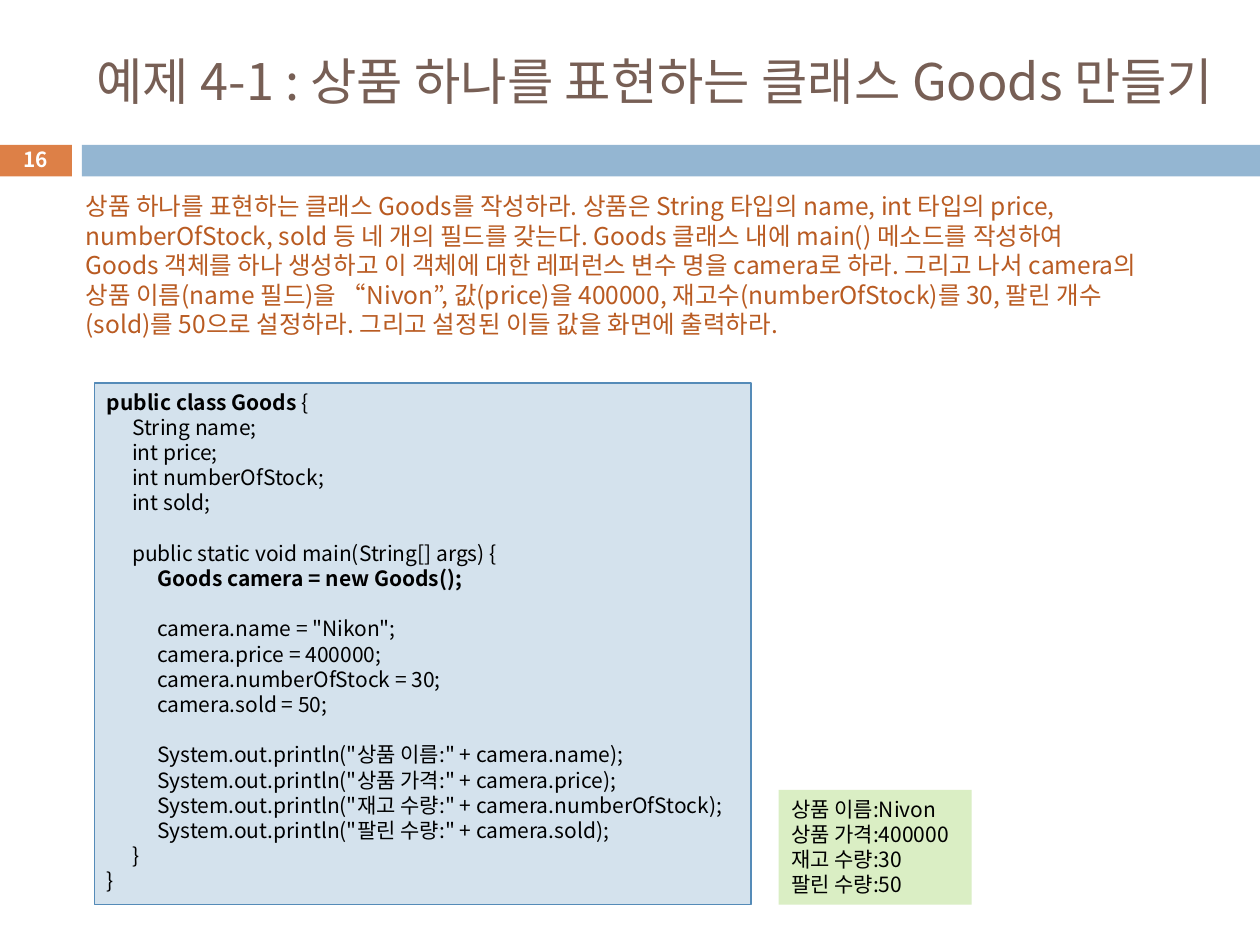
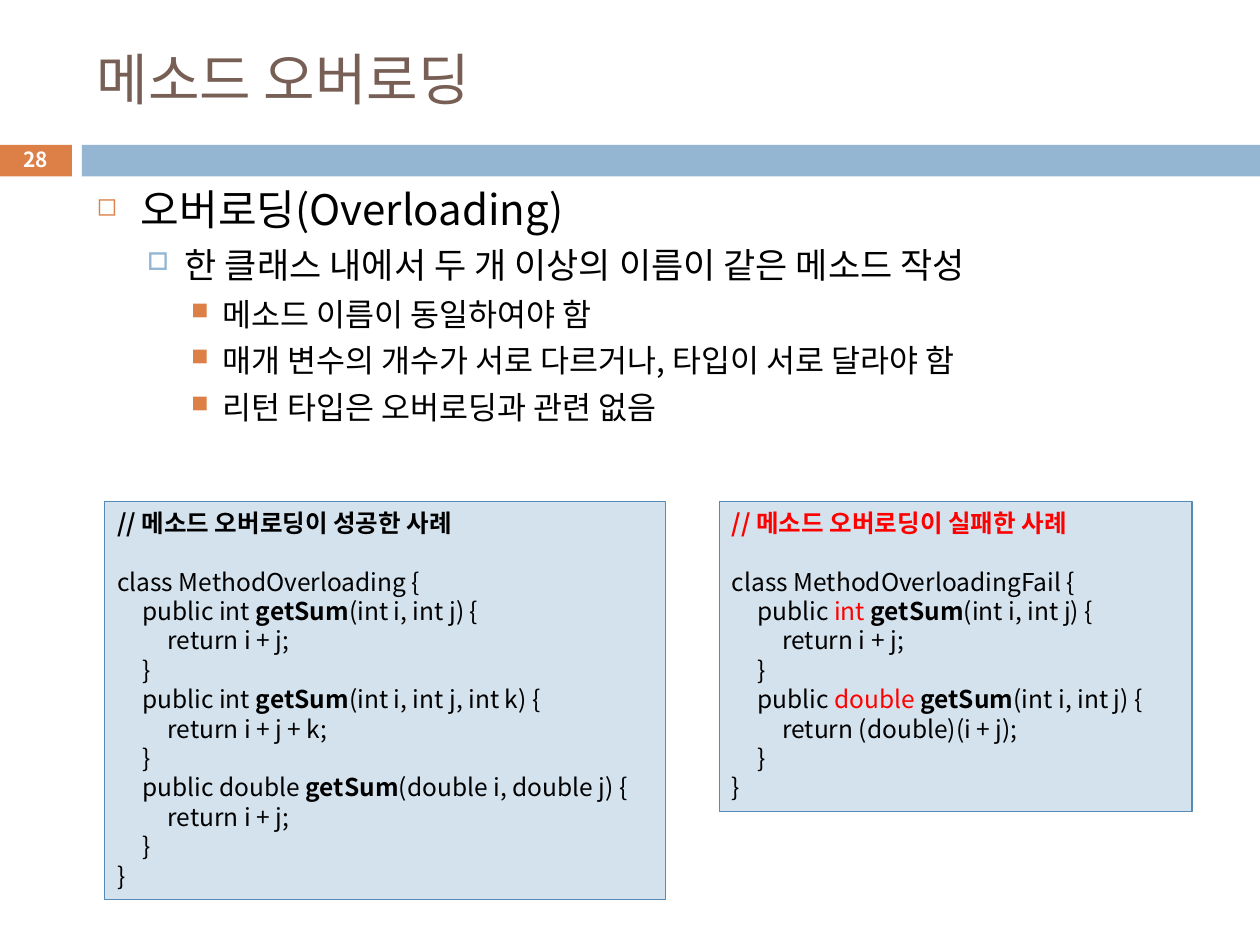
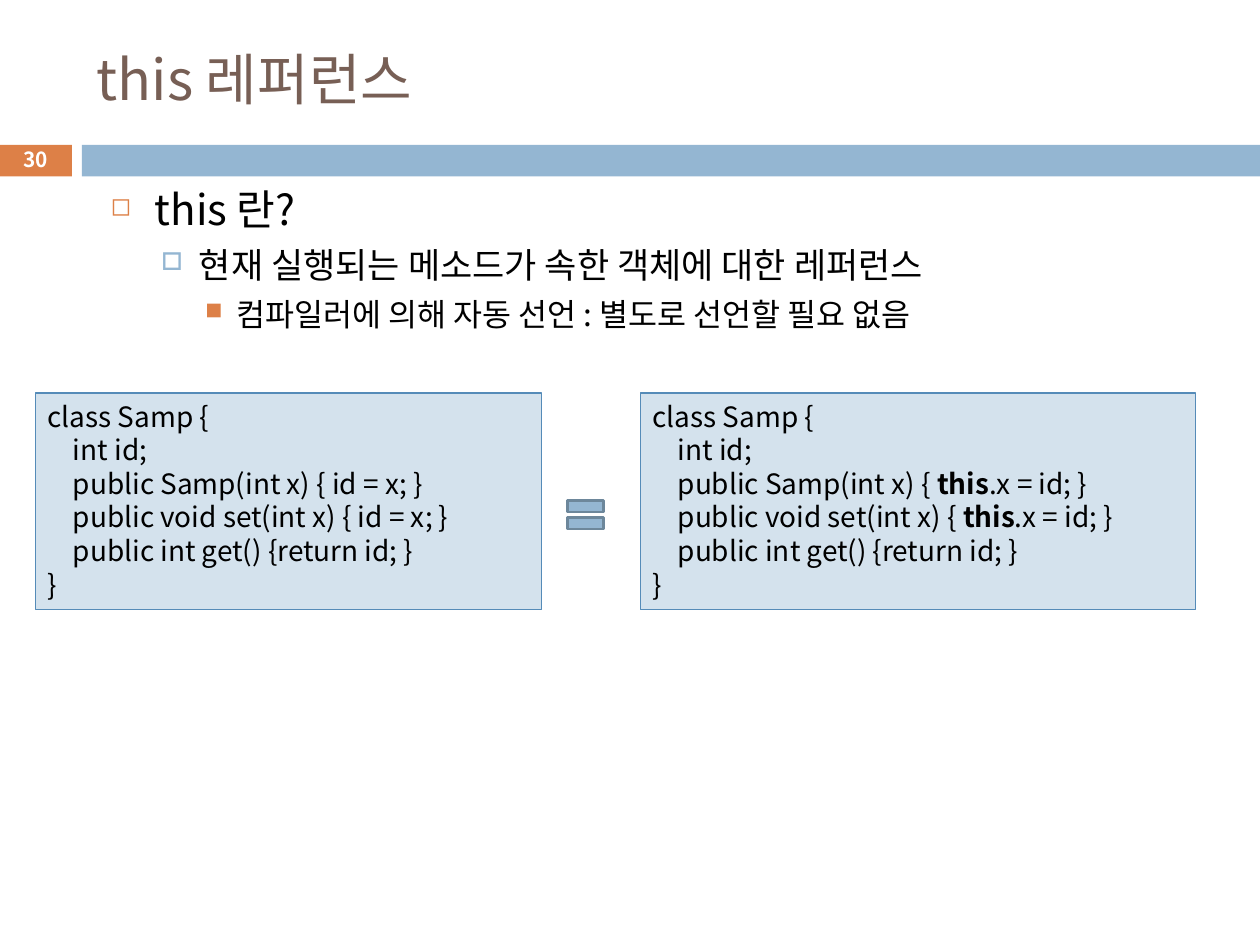
"""Build three lecture slides on Java classes, overloading and this."""
from typing import NamedTuple, Optional, Union

from lxml import etree
from pptx import Presentation
from pptx.dml.color import RGBColor
from pptx.enum.shapes import MSO_SHAPE
from pptx.enum.text import MSO_ANCHOR, MSO_AUTO_SIZE, PP_ALIGN
from pptx.oxml.ns import qn
from pptx.util import Pt

RECTANGLE, EQUAL_SIGN = MSO_SHAPE.RECTANGLE, MSO_SHAPE.MATH_EQUAL
TOP, MIDDLE = MSO_ANCHOR.TOP, MSO_ANCHOR.MIDDLE
LEFT, CENTER = PP_ALIGN.LEFT, PP_ALIGN.CENTER
NO_AUTOFIT = MSO_AUTO_SIZE.NONE

FONT = "Noto Sans CJK KR"
LINE_HEIGHT = 1.2
TAB_STEP = 14.4
TITLE_ONLY = 5

BLACK, WHITE, RED = "000000", "FFFFFF", "FF0000"
ORANGE, BLUE, BROWN, RUST = "DD8047", "94B6D2", "775F55", "B95B22"
CODE_FILL, CODE_EDGE = "D4E2ED", "558BB8"
OUTPUT_FILL, EQUAL_EDGE = "DAEEC4", "6D879B"


class Box(NamedTuple):
    """Position and size in points."""
    left: float
    top: float
    width: float
    height: float


class Span(NamedTuple):
    """Part of a line with its own emphasis."""
    text: str
    bold: bool = False
    color: Optional[str] = None


class Level(NamedTuple):
    """Format of one outline level."""
    size: float
    margin: float
    hanging: float
    before: float
    bullet: str
    bullet_color: str
    bullet_percent: int


class Panel(NamedTuple):
    """Filled box holding lines of code or output."""
    box: Box
    size: float
    lines: list
    fill: str = CODE_FILL
    edge: Optional[str] = CODE_EDGE


Line = Union[str, tuple]

LEVELS = (
    Level(24, 25.2, 25.2, 7, "◻", ORANGE, 60),
    Level(20, 50.4, 21.6, 5.5, "□", BLUE, 70),
    Level(18, 72, 18, 5, "■", ORANGE, 75),
)

PAGE_BAND = Box(-0.7, 82.8, 41.8, 18)
TITLE_BAND = Box(46.8, 82.8, 673.2, 18)
PAGE_NUMBER = Box(-0.7, 81.4, 41.8, 19.4)
TITLE = Box(48, 18, 642.2, 53.3)
LONG_TITLE = Box(48, 18, 672, 55.4)

GET_SUM = Span("getSum", True)
THIS = Span("this", True)

EXERCISE = (
    "상품 하나를 표현하는 클래스 Goods를 작성하라. 상품은 String 타입의 name, int 타입의 price, "
    "numberOfStock, sold 등 네 개의 필드를 갖는다. Goods 클래스 내에 main() 메소드를 작성하여 "
    "Goods 객체를 하나 생성하고 이 객체에 대한 레퍼런스 변수 명을 camera로 하라. 그리고 나서 "
    "camera의 상품 이름(name 필드)을 “Nivon”, 값(price)을 400000, 재고수(numberOfStock)를 30, "
    "팔린 개수(sold)를 50으로 설정하라. 그리고 설정된 이들 값을 화면에 출력하라."
)

GOODS_CODE = [
    (Span("public class Goods ", True), "{"),
    "\tString name;",
    "\tint price;",
    "\tint numberOfStock;",
    "\tint sold;",
    "",
    "\tpublic static void main(String[] args) {",
    ("\t\t", Span("Goods camera = new Goods();", True)),
    "",
    "\t\tcamera.name = \"Nikon\";",
    "\t\tcamera.price = 400000;",
    "\t\tcamera.numberOfStock = 30;",
    "\t\tcamera.sold = 50;",
    "",
    "\t\tSystem.out.println(\"상품 이름:\" + camera.name);",
    "\t\tSystem.out.println(\"상품 가격:\" + camera.price);",
    "\t\tSystem.out.println(\"재고 수량:\" + camera.numberOfStock);",
    "\t\tSystem.out.println(\"팔린 수량:\" + camera.sold);",
    "\t}",
    "}",
]

GOODS_OUTPUT = ["상품 이름:Nivon", "상품 가격:400000", "재고 수량:30", "팔린 수량:50"]

OVERLOADING_CODE = [
    (Span("// 메소드 오버로딩이 성공한 사례", True),),
    "",
    "class MethodOverloading {",
    ("\tpublic int ", GET_SUM, "(int i, int j) {"),
    "\t\treturn i + j;",
    "\t}",
    ("\tpublic int ", GET_SUM, "(int i, int j, int k) {"),
    "\t\treturn i + j + k;",
    "\t}",
    ("\tpublic double ", GET_SUM, "(double i, double j) {"),
    "\t\treturn i + j;",
    "\t}",
    "}",
]

FAILING_CODE = [
    (Span("// 메소드 오버로딩이 실패한 사례", True, RED),),
    "",
    "class MethodOverloadingFail {",
    ("\tpublic ", Span("int ", color=RED), GET_SUM, "(int i, int j) {"),
    "\t\treturn i + j;",
    "\t}",
    ("\tpublic ", Span("double ", color=RED), GET_SUM, "(int i, int j) {"),
    "\t\treturn (double)(i + j);",
    "\t}",
    "}",
]

OVERLOADING_OUTLINE = [
    (0, "오버로딩(Overloading)"),
    (1, "한 클래스 내에서 두 개 이상의 이름이 같은 메소드 작성"),
    (2, "메소드 이름이 동일하여야 함"),
    (2, "매개 변수의 개수가 서로 다르거나, 타입이 서로 달라야 함"),
    (2, "리턴 타입은 오버로딩과 관련 없음"),
]

THIS_OUTLINE = [
    (0, "this 란?"),
    (1, "현재 실행되는 메소드가 속한 객체에 대한 레퍼런스"),
    (2, "컴파일러에 의해 자동 선언 : 별도로 선언할 필요 없음"),
]


def samp_code(assignment: tuple) -> list:
    """Return the Samp class with the given assignment in its setters."""
    return [
        "class Samp {",
        "\tint id;",
        ("\tpublic Samp(int x) { ", *assignment),
        ("\tpublic void set(int x) { ", *assignment),
        "\tpublic int get() {return id; }",
        "}",
    ]


def rgb(color: str) -> RGBColor:
    """Turn a hex string into a colour."""
    return RGBColor.from_string(color)


def points(box: Box) -> tuple:
    """Return the four lengths of a box for python-pptx."""
    return tuple(Pt(length) for length in box)


def add_child(parent, tag: str, **attributes: str):
    """Append a drawing element with its attributes."""
    return etree.SubElement(parent, qn(tag), attributes)


def write_line(paragraph, line: Line, *, size: float, color: str = BLACK,
               bold: bool = False, align=LEFT) -> None:
    """Write one line of plain or emphasised spans into a paragraph."""
    paragraph.alignment = align
    paragraph.line_spacing = Pt(round(size * LINE_HEIGHT, 2))
    for part in (line,) if isinstance(line, str) else line:
        span = Span(part) if isinstance(part, str) else part
        run = paragraph.add_run()
        run.text = span.text
        run.font.size = Pt(size)
        run.font.bold = bold or span.bold
        run.font.color.rgb = rgb(span.color or color)
        run.font.name = FONT
        add_child(run.font._element, "a:ea", typeface=FONT)


def prepare_frame(frame, anchor=TOP) -> None:
    """Make a text frame wrap at a fixed size."""
    frame.word_wrap = True
    frame.auto_size = NO_AUTOFIT
    frame.vertical_anchor = anchor


def next_paragraph(frame, index: int):
    """Return the first paragraph of a frame or a new one."""
    return frame.add_paragraph() if index else frame.paragraphs[0]


def add_text(slide, box: Box, text: str, *, anchor=TOP, **text_format) -> None:
    """Add a text box with one formatted paragraph."""
    frame = slide.shapes.add_textbox(*points(box)).text_frame
    prepare_frame(frame, anchor)
    write_line(frame.paragraphs[0], text, **text_format)


def add_filled(slide, box: Box, fill: str, *, kind=RECTANGLE,
               edge: Optional[str] = None, edge_width: float = 0.75):
    """Add a filled preset shape with an optional outline."""
    shape = slide.shapes.add_shape(kind, *points(box))
    shape.shadow.inherit = False
    shape.fill.solid()
    shape.fill.fore_color.rgb = rgb(fill)
    if edge:
        shape.line.color.rgb = rgb(edge)
        shape.line.width = Pt(edge_width)
    else:
        shape.line.fill.background()
    return shape


def add_panel(slide, panel: Panel) -> None:
    """Add a panel whose lines are indented by tab stops."""
    frame = add_filled(slide, panel.box, panel.fill, edge=panel.edge).text_frame
    prepare_frame(frame)
    frame.margin_right = Pt(0)
    for index, line in enumerate(panel.lines):
        paragraph = next_paragraph(frame, index)
        tabs = add_child(paragraph._p.get_or_add_pPr(), "a:tabLst")
        for stop in (1, 2):
            add_child(tabs, "a:tab", pos=str(Pt(stop * TAB_STEP)), algn="l")
        write_line(paragraph, line, size=panel.size)


def add_outline(slide, box: Box, items: list) -> None:
    """Add a bulleted outline from pairs of level and text."""
    frame = slide.shapes.add_textbox(*points(box)).text_frame
    prepare_frame(frame)
    for index, (depth, text) in enumerate(items):
        level = LEVELS[depth]
        paragraph = next_paragraph(frame, index)
        paragraph.level = depth
        properties = paragraph._p.get_or_add_pPr()
        properties.set("marL", str(Pt(level.margin)))
        properties.set("indent", str(-Pt(level.hanging)))
        bullet_color = add_child(properties, "a:buClr")
        add_child(bullet_color, "a:srgbClr", val=level.bullet_color)
        add_child(properties, "a:buSzPct", val=str(level.bullet_percent * 1000))
        add_child(properties, "a:buChar", char=level.bullet)
        if index:
            paragraph.space_before = Pt(level.before)
        write_line(paragraph, text, size=level.size)


def add_lecture_slide(deck, title: str, page: str, *, box: Box = TITLE, size: float = 32):
    """Add a slide with its title, bands and page number."""
    slide = deck.slides.add_slide(deck.slide_layouts[TITLE_ONLY])
    heading = slide.shapes.title
    heading.left, heading.top, heading.width, heading.height = points(box)
    prepare_frame(heading.text_frame, MIDDLE)
    write_line(heading.text_frame.paragraphs[0], title, size=size, color=BROWN)
    add_filled(slide, PAGE_BAND, ORANGE)
    add_filled(slide, TITLE_BAND, BLUE)
    add_text(slide, PAGE_NUMBER, page, anchor=MIDDLE, size=11.9, color=WHITE,
             bold=True, align=CENTER)
    return slide


def build_goods(deck) -> None:
    """Build the exercise on the Goods class."""
    slide = add_lecture_slide(deck, "예제 4-1 : 상품 하나를 표현하는 클래스 Goods 만들기", "16",
                              box=LONG_TITLE, size=28.8)
    add_text(slide, Box(41.8, 105.8, 617.8, 92.2), EXERCISE, size=14, color=RUST)
    add_panel(slide, Panel(Box(54, 218.9, 375.1, 298.1), 12, GOODS_CODE))
    add_panel(slide, Panel(Box(445, 451.4, 110.2, 65.5), 12, GOODS_OUTPUT, OUTPUT_FILL, None))


def build_overloading(deck) -> None:
    """Build the slide on method overloading."""
    slide = add_lecture_slide(deck, "메소드 오버로딩", "28")
    add_outline(slide, Box(48.2, 101.5, 642.2, 185.8), OVERLOADING_OUTLINE)
    add_panel(slide, Panel(Box(59.8, 286.6, 320.4, 227.5), 14, OVERLOADING_CODE))
    add_panel(slide, Panel(Box(411.1, 286.6, 270, 177.1), 14, FAILING_CODE))


def build_this(deck) -> None:
    """Build the slide on the this reference."""
    slide = add_lecture_slide(deck, "this 레퍼런스", "30")
    add_outline(slide, Box(56.2, 101.5, 624.2, 416.2), THIS_OUTLINE)
    add_panel(slide, Panel(Box(20.2, 224.6, 289.4, 123.8), 16, samp_code(("id = x; }",))))
    add_panel(slide, Panel(Box(365.8, 224.6, 317.5, 123.8), 16, samp_code((THIS, ".x = id; }"))))
    add_filled(slide, Box(320.4, 280.1, 28.1, 28.1), BLUE, kind=EQUAL_SIGN,
               edge=EQUAL_EDGE, edge_width=1.5)


def main() -> None:
    """Create the deck and save it."""
    deck = Presentation()
    deck.slide_width, deck.slide_height = Pt(720), Pt(540)
    build_goods(deck)
    build_overloading(deck)
    build_this(deck)
    deck.save("out.pptx")


if __name__ == "__main__":
    main()
